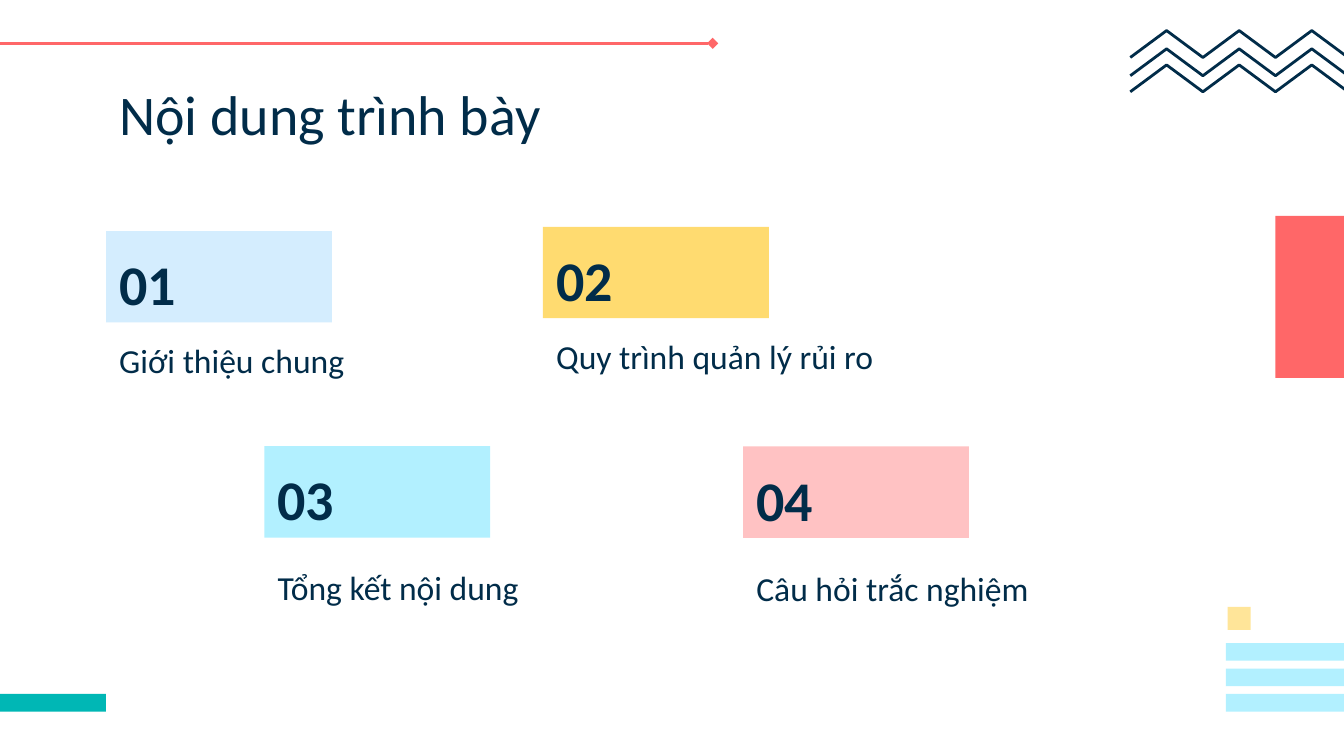
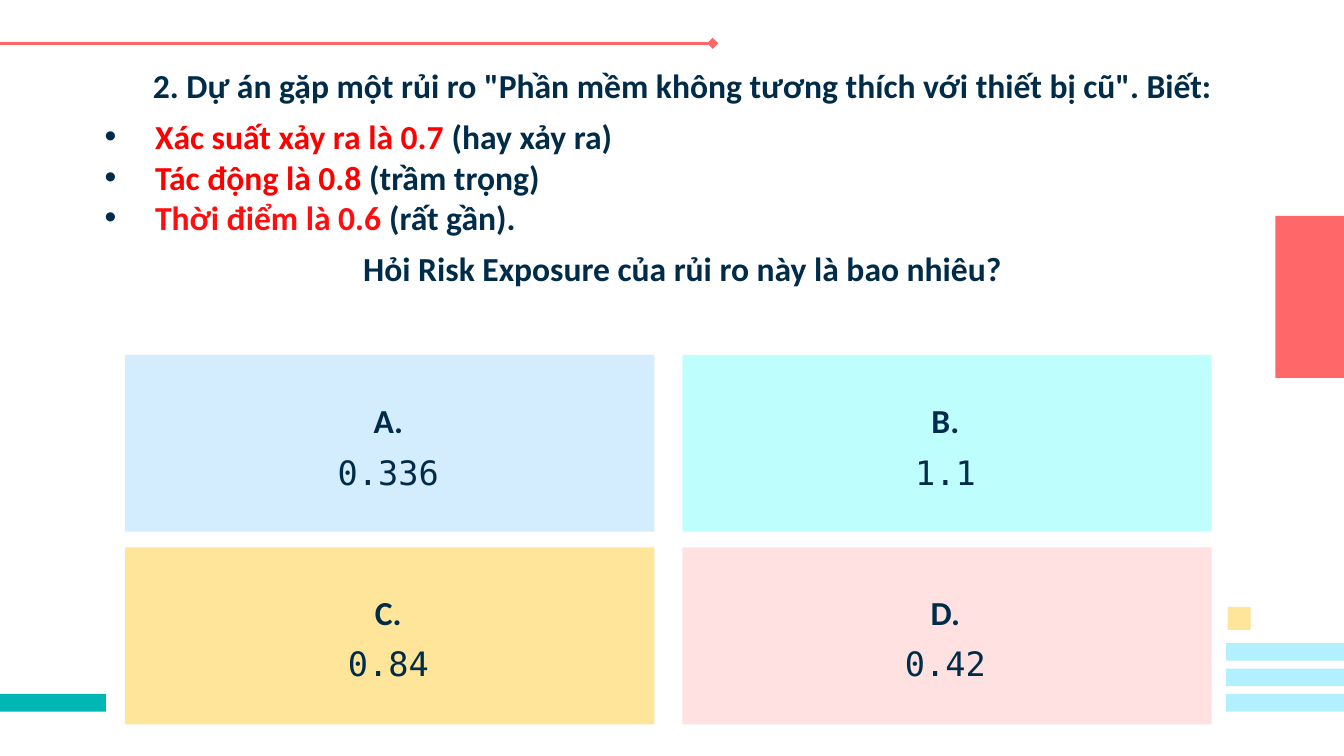
from lxml import etree
from pptx import Presentation
from pptx import util as u
from pptx.dml.color import RGBColor
from pptx.enum import shapes, text
from pptx.oxml.ns import qn

# Colours and fonts
NAVY = RGBColor(0x01, 0x2C, 0x49)
CORAL = RGBColor(0xFF, 0x67, 0x68)
TEAL = RGBColor(0x00, 0xB7, 0xB5)
AQUA = RGBColor(0xB2, 0xF0, 0xFF)
MINT = RGBColor(0xBE, 0xFF, 0xFE)
SKY = RGBColor(0xD4, 0xED, 0xFE)
GOLD = RGBColor(0xFF, 0xDB, 0x70)
CREAM = RGBColor(0xFF, 0xE5, 0x99)
PINK = RGBColor(0xFF, 0xC2, 0xC3)
BLUSH = RGBColor(0xFF, 0xE1, 0xE1)
RED = RGBColor(0xFF, 0x00, 0x00)
SOFT_RED = RGBColor(0xFF, 0x0D, 0x0F)
SANS, MONO = "Calibri", "DejaVu Sans Mono"

# Content of the agenda: number, label, fill, card left and top, label drop and width
AGENDA_TITLE = "Nội dung trình bày"
AGENDA = [
    ("01", "Giới thiệu chung", SKY, 56.8, 123.8, 51.1, 196),
    ("02", "Quy trình quản lý rủi ro", GOLD, 290.9, 121.5, 51.1, 263),
    ("03", "Tổng kết nội dung", AQUA, 141.6, 239, 57.6, 206),
    ("04", "Câu hỏi trắc nghiệm", PINK, 398.1, 239.2, 57.6, 241),
]
CARD_SIZE = (121, 49)

# Content of the quiz
QUESTION = '2. Dự án gặp một rủi ro "Phần mềm không tương thích với thiết bị cũ". Biết:'
FACTS = [
    ("Xác suất xảy ra là 0.7 ", "(hay xảy ra)", RED),
    ("Tác động là 0.8 ", "(trầm trọng)", RED),
    ("Thời điểm là 0.6 ", "(rất gần).", SOFT_RED),
]
PROMPT = "Hỏi Risk Exposure của rủi ro này là bao nhiêu?"
ANSWERS = [
    [("A.", "0.336", SKY), ("B.", "1.1", MINT)],
    [("C.", "0.84", CREAM), ("D.", "0.42", BLUSH)],
]
# Start of each column or row of cards, then offset and length of its text
ANSWER_COLUMNS = [(67, 6.4, 269.3), (365.5, 5.3, 271.4)]
ANSWER_ROWS = [(190.1, 8.6, 80.6), (293.3, 6.2, 84.2)]
ANSWER_SIZE = (283.6, 94.8)

# Decoration: left, top, width, height, fill
BAR_TOPS = [344.5 + 13.65 * i for i in range(3)]
BLOCKS = [(656.8, top, 63.2, 9.5, AQUA) for top in BAR_TOPS] + [
    (657.7, 325.2, 12.3, 12.3, CREAM),
    (683.3, 115.7, 36.7, 86.8, CORAL),
    (0, BAR_TOPS[-1], 56.8, 9.5, TEAL),
]
ZIGZAG_TOPS = [16.4, 26.2, 34.8]
ZIGZAG_LEFT, ZIGZAG_STEP, ZIGZAG_HEIGHT, ZIGZAG_LEGS = 605.5, 19.45, 14.4, 9


def points(*lengths):
    return [u.Pt(length) for length in lengths]


def add_block(page, left, top, width, height, fill):
    block = page.shapes.add_shape(
        shapes.MSO_SHAPE.RECTANGLE, *points(left, top, width, height))
    block.shadow.inherit = False
    block.fill.solid()
    block.fill.fore_color.rgb = fill
    block.line.fill.background()


def add_frame(page, left, top, width, height, anchor=text.MSO_ANCHOR.TOP):
    frame = page.shapes.add_textbox(*points(left, top, width, height)).text_frame
    frame.word_wrap = True
    frame.vertical_anchor = anchor
    frame.margin_left = frame.margin_right = u.Pt(7.2)
    frame.margin_top = frame.margin_bottom = u.Pt(7.2)
    return frame


def add_bullet(para, indent=27):
    props = para._p.get_or_add_pPr()
    props.set("marL", str(u.Pt(indent)))
    props.set("indent", str(-u.Pt(indent)))
    colour = etree.SubElement(props, qn("a:buClr"))
    etree.SubElement(colour, qn("a:srgbClr"), val=str(NAVY))
    etree.SubElement(props, qn("a:buFont"), typeface="Arial")
    etree.SubElement(props, qn("a:buChar"), char="•")


def write(frame, *spans, size=18, font=SANS, bold=False, centred=False,
          bullet=False, before=0, after=0):
    """Add one paragraph; a span is a string or a (string, colour) pair."""
    first = frame.paragraphs[0]
    para = frame.add_paragraph() if first.runs else first
    if bullet:
        add_bullet(para)
    para.alignment = text.PP_ALIGN.CENTER if centred else text.PP_ALIGN.LEFT
    para.space_before, para.space_after = points(before, after)
    for span in spans:
        words, colour = (span, NAVY) if isinstance(span, str) else span
        run = para.add_run()
        run.text = words
        run.font.name, run.font.size, run.font.bold = font, u.Pt(size), bold
        run.font.color.rgb = colour


def add_page(deck):
    """Add a blank page with the shared rule and corner blocks."""
    page = deck.slides.add_slide(deck.slide_layouts[6])
    rule = page.shapes.add_connector(
        shapes.MSO_CONNECTOR.STRAIGHT, *points(381.8, 23.2, 0, 23.2))
    rule.line.color.rgb = CORAL
    rule.line.width = u.Pt(1.5)
    etree.SubElement(rule.line._get_or_add_ln(), qn("a:headEnd"), type="diamond")
    etree.SubElement(rule._element.spPr, qn("a:effectLst"))
    for block in BLOCKS:
        add_block(page, *block)
    return page


def add_zigzag(page, top):
    corners = [(u.Pt(ZIGZAG_LEFT + ZIGZAG_STEP * i),
                u.Pt(top + ZIGZAG_HEIGHT * (1 - i % 2)))
               for i in range(ZIGZAG_LEGS + 1)]
    builder = page.shapes.build_freeform(*corners[0])
    builder.add_line_segments(corners[1:], close=False)
    zigzag = builder.convert_to_shape()
    zigzag.shadow.inherit = False
    zigzag.fill.background()
    zigzag.line.color.rgb = NAVY
    zigzag.line.width = u.Pt(1.5)


def build_agenda(deck):
    page = add_page(deck)
    write(add_frame(page, 56.8, 35.3, 607, 45.4), AGENDA_TITLE, size=30)
    for number, label, fill, left, top, drop, width in AGENDA:
        add_block(page, left, top, *CARD_SIZE, fill)
        number_frame = add_frame(page, left, top + 4.3, 91.4, 49,
                                 anchor=text.MSO_ANCHOR.BOTTOM)
        write(number_frame, number, size=30, bold=True)
        write(add_frame(page, left, top + drop, width, 36.7), label)
    for top in ZIGZAG_TOPS:
        add_zigzag(page, top)


def build_quiz(deck):
    page = add_page(deck)

    # Question
    frame = add_frame(page, 49, 27.4, 633.6, 154)
    write(frame, QUESTION, bold=True, centred=True, after=6)
    for fact, remark, colour in FACTS:
        write(frame, (fact, colour), remark, bold=True, bullet=True)
    write(frame, PROMPT, bold=True, centred=True, before=6)

    # Answer cards
    for (top, drop, height), row in zip(ANSWER_ROWS, ANSWERS):
        for (left, shift, width), (letter, value, fill) in zip(ANSWER_COLUMNS, row):
            add_block(page, left, top, *ANSWER_SIZE, fill)
            frame = add_frame(page, left + shift, top + drop, width, height,
                              anchor=text.MSO_ANCHOR.MIDDLE)
            write(frame, letter, bold=True, centred=True, after=6)
            write(frame, value, font=MONO, centred=True)


def main():
    deck = Presentation()
    deck.slide_width, deck.slide_height = points(720, 405)
    build_agenda(deck)
    build_quiz(deck)
    deck.save("out.pptx")


if __name__ == "__main__":
    main()
